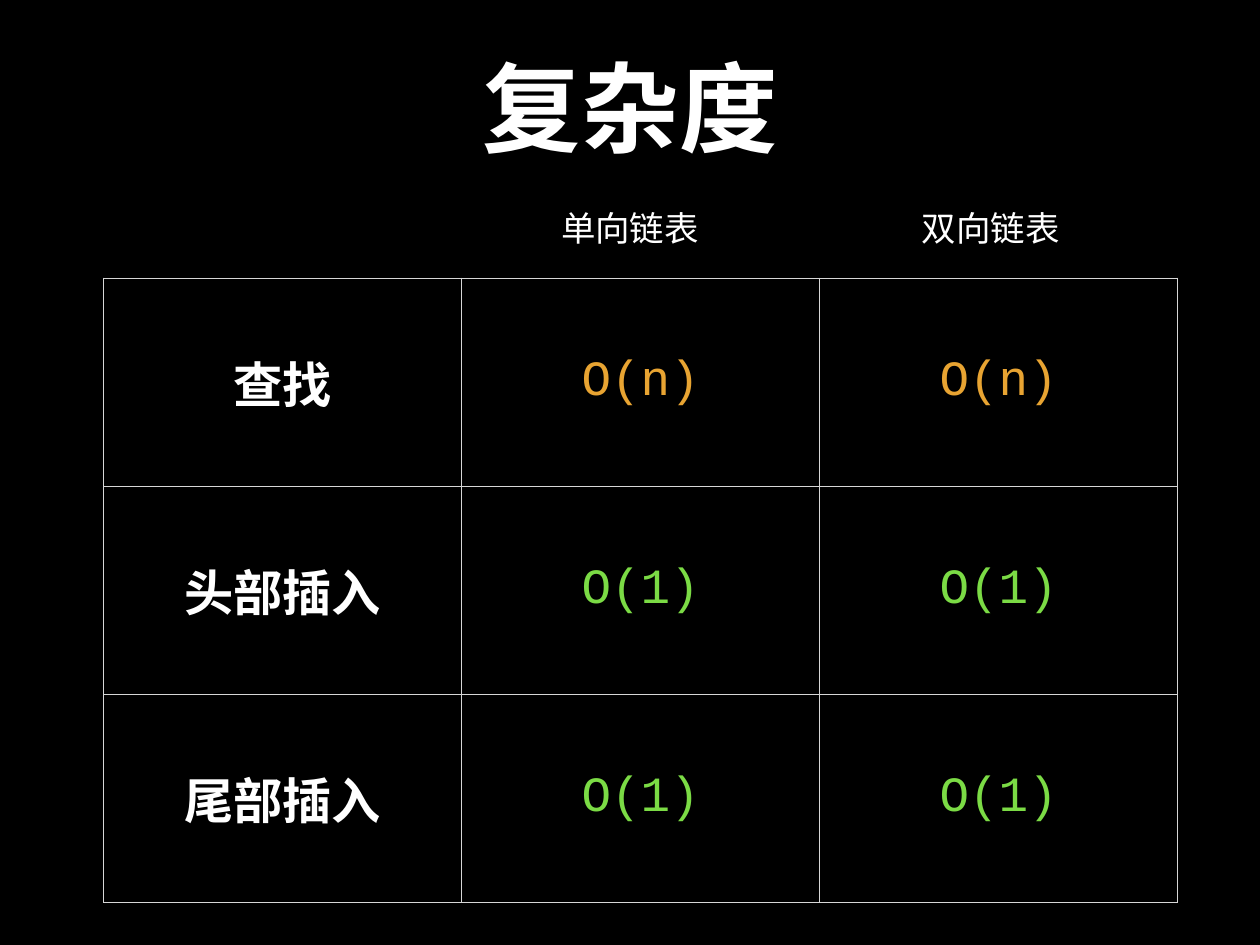
from lxml import etree
from pptx import Presentation
from pptx import util as u
from pptx.dml.color import RGBColor
from pptx.enum import text
from pptx.oxml import ns

COLORS = {"background": "000000", "text": "FFFFFF", "linear": "E8A432",
          "constant": "7BDB45", "border": "D6D6D6"}
MARGIN = u.Inches(0.06)
HEADINGS = ["单向链表", "双向链表"]
COMPLEXITIES = [
    ("查找", "O(n)", "O(n)"),
    ("头部插入", "O(1)", "O(1)"),
    ("尾部插入", "O(1)", "O(1)"),
]
CELL_COLORS = {"O(n)": "linear", "O(1)": "constant"}


def write(holder, frame, wording, size, color="text", bold=False):
    """Put one centred line in a frame; holder carries margins and anchor."""
    holder.margin_left = holder.margin_right = MARGIN
    holder.margin_top = holder.margin_bottom = MARGIN
    holder.vertical_anchor = text.MSO_ANCHOR.MIDDLE
    para = frame.paragraphs[0]
    para.text = wording
    para.alignment = text.PP_ALIGN.CENTER
    para.font.name = "Courier New"
    para.font.size = u.Pt(size)
    para.font.bold = bold
    para.font.color.rgb = RGBColor.from_string(COLORS[color])


def add_borders(cell):
    properties = cell._tc.get_or_add_tcPr()
    for index, side in enumerate(["lnL", "lnR", "lnT", "lnB"]):
        line = etree.Element(ns.qn(f"a:{side}"), w=str(u.Pt(1)))
        fill = etree.SubElement(line, ns.qn("a:solidFill"))
        etree.SubElement(fill, ns.qn("a:srgbClr"), val=COLORS["border"])
        properties.insert(index, line)


deck = Presentation()
deck.slide_width = u.Inches(14.22)
deck.slide_height = u.Inches(10.67)
page = deck.slides.add_slide(deck.slide_layouts.get_by_name("Title Only"))
page.background.fill.solid()
page.background.fill.fore_color.rgb = RGBColor.from_string(COLORS["background"])

title = page.shapes.title
title.left, title.top = u.Inches(2.6), u.Inches(0.39)
title.width, title.height = u.Inches(9.03), u.Inches(1.61)
title.text_frame.auto_size = text.MSO_AUTO_SIZE.NONE
write(title.text_frame, title.text_frame, "复杂度", 80, bold=True)

table = page.shapes.add_table(
    len(COMPLEXITIES), len(COMPLEXITIES[0]),
    u.Inches(1.17), u.Inches(3.14), u.Inches(12.12), u.Inches(7.05)).table
table.first_row = table.horz_banding = False
for row, values in enumerate(COMPLEXITIES):
    for column, value in enumerate(values):
        cell = table.cell(row, column)
        write(cell, cell.text_frame, value, 40,
              CELL_COLORS.get(value, "text"), bold=column == 0)
        cell.fill.background()
        add_borders(cell)

for index, heading in enumerate(HEADINGS):
    box = page.shapes.add_textbox(
        u.Inches(6.27 + 4.07 * index), u.Inches(2.28), u.Inches(1.68), u.Inches(0.58))
    box.text_frame.word_wrap = False
    box.text_frame.auto_size = text.MSO_AUTO_SIZE.SHAPE_TO_FIT_TEXT
    write(box.text_frame, box.text_frame, heading, 28)

deck.save("out.pptx")
